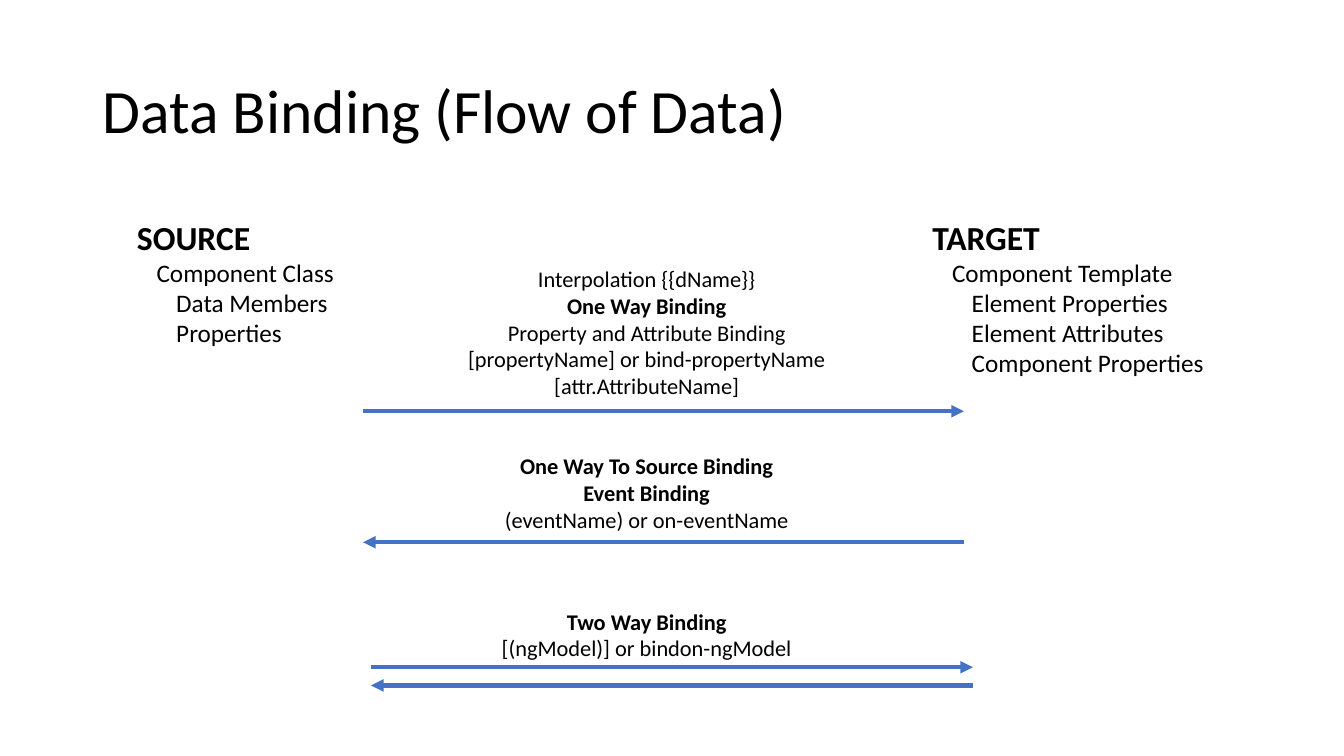
from dataclasses import dataclass

from lxml.etree import SubElement
from pptx import Presentation
from pptx.dml.color import RGBColor
from pptx.enum.shapes import MSO_CONNECTOR as Connector
from pptx.enum.text import MSO_ANCHOR as Anchor, PP_ALIGN as Align
from pptx.oxml.ns import qn
from pptx.slide import Slide
from pptx.util import Inches, Length, Pt

SLIDE_WIDTH = Inches(13.33)
SLIDE_HEIGHT = Inches(7.5)
FONT = "Calibri"
TEXT_COLOR = "000000"
ARROW_COLOR = "4472C4"
LEVEL_INDENT = Inches(0.195)
CAPTION_CENTER = 48.12


@dataclass(frozen=True)
class Line:
    text: str
    size: float = 16
    bold: bool = False
    level: int = 0


@dataclass(frozen=True)
class Block:
    """Text box whose place is in percent of the slide's size."""
    left: float
    top: float
    width: float
    height: float
    lines: tuple[Line, ...]
    align: Align = Align.LEFT
    anchor: Anchor = Anchor.TOP
    spacing: float = 1.0
    wrap: bool = False


@dataclass(frozen=True)
class Arrow:
    """Level arrow whose ends are in percent of the slide's size."""
    start: float
    end: float
    row: float


def across(percent: float) -> Length:
    return Length(round(SLIDE_WIDTH * percent / 100))


def down(percent: float) -> Length:
    return Length(round(SLIDE_HEIGHT * percent / 100))


def color(value: str) -> RGBColor:
    return RGBColor.from_string(value)


def endpoint(left: float, top: float, width: float, height: float,
             name: str, *members: Line) -> Block:
    """One end of the data flow: a heading above its indented members."""
    return Block(left, top, width, height, (Line(name, 24, True), *members))


def caption(top: float, width: float, height: float, *lines: Line) -> Block:
    return Block(CAPTION_CENTER - width / 2, top, width, height, lines, Align.CENTER)


BLOCKS = (
    Block(6.9, 5.33, 86.27, 19.33, (Line("Data Binding (Flow of Data)", 44),),
          anchor=Anchor.MIDDLE, spacing=0.9, wrap=True),
    endpoint(9.45, 28, 16.35, 18.8, "SOURCE",
             Line("Component Class", 18, level=1),
             Line("Data Members", 18, level=2),
             Line("Properties", 18, level=2)),
    endpoint(68.64, 28, 21.91, 22.93, "TARGET",
             Line("Component Template", 18, level=1),
             Line("Element Properties", 18, level=2),
             Line("Element Attributes", 18, level=2),
             Line("Component Properties", 18, level=2)),
    caption(34.4, 28.43, 19.33,
            Line("Interpolation {{dName}}"),
            Line("One Way Binding", bold=True),
            Line("Property and Attribute Binding"),
            Line("[propertyName] or bind-propertyName"),
            Line("[attr.AttributeName]")),
    caption(59.2, 22.96, 12.13,
            Line("One Way To Source Binding", bold=True),
            Line("Event Binding", bold=True),
            Line("(eventName) or on-eventName")),
    caption(79.73, 23.33, 8.53,
            Line("Two Way Binding", bold=True),
            Line("[(ngModel)] or bindon-ngModel")),
)

ARROWS = (
    Arrow(27.01, 71.72, 54.4),
    Arrow(71.72, 27.01, 71.73),
    Arrow(27.61, 72.39, 88.27),
    Arrow(72.39, 27.61, 90.67),
)


def draw_block(slide: Slide, block: Block) -> None:
    box = slide.shapes.add_textbox(across(block.left), down(block.top),
                                   across(block.width), down(block.height))
    frame = box.text_frame
    frame.word_wrap = block.wrap
    frame.vertical_anchor = block.anchor
    for index, line in enumerate(block.lines):
        paragraph = frame.add_paragraph() if index else frame.paragraphs[0]
        paragraph.alignment = block.align
        paragraph.line_spacing = block.spacing
        if line.level:
            properties = paragraph._p.get_or_add_pPr()
            properties.set("marL", str(LEVEL_INDENT * line.level))
            properties.set("indent", "0")
        run = paragraph.add_run()
        run.text = line.text
        run.font.name = FONT
        run.font.size = Pt(line.size)
        run.font.bold = line.bold
        run.font.color.rgb = color(TEXT_COLOR)


def draw_arrow(slide: Slide, arrow: Arrow) -> None:
    row = down(arrow.row)
    connector = slide.shapes.add_connector(
        Connector.STRAIGHT, across(arrow.start), row, across(arrow.end), row)
    connector.line.color.rgb = color(ARROW_COLOR)
    connector.line.width = Pt(3)
    SubElement(connector.line._get_or_add_ln(), qn("a:tailEnd"), type="triangle")
    SubElement(connector._element.spPr, qn("a:effectLst"))


def main() -> None:
    presentation = Presentation()
    presentation.slide_width = SLIDE_WIDTH
    presentation.slide_height = SLIDE_HEIGHT
    slide = presentation.slides.add_slide(presentation.slide_layouts[6])
    for block in BLOCKS:
        draw_block(slide, block)
    for arrow in ARROWS:
        draw_arrow(slide, arrow)
    presentation.save("out.pptx")


if __name__ == "__main__":
    main()
